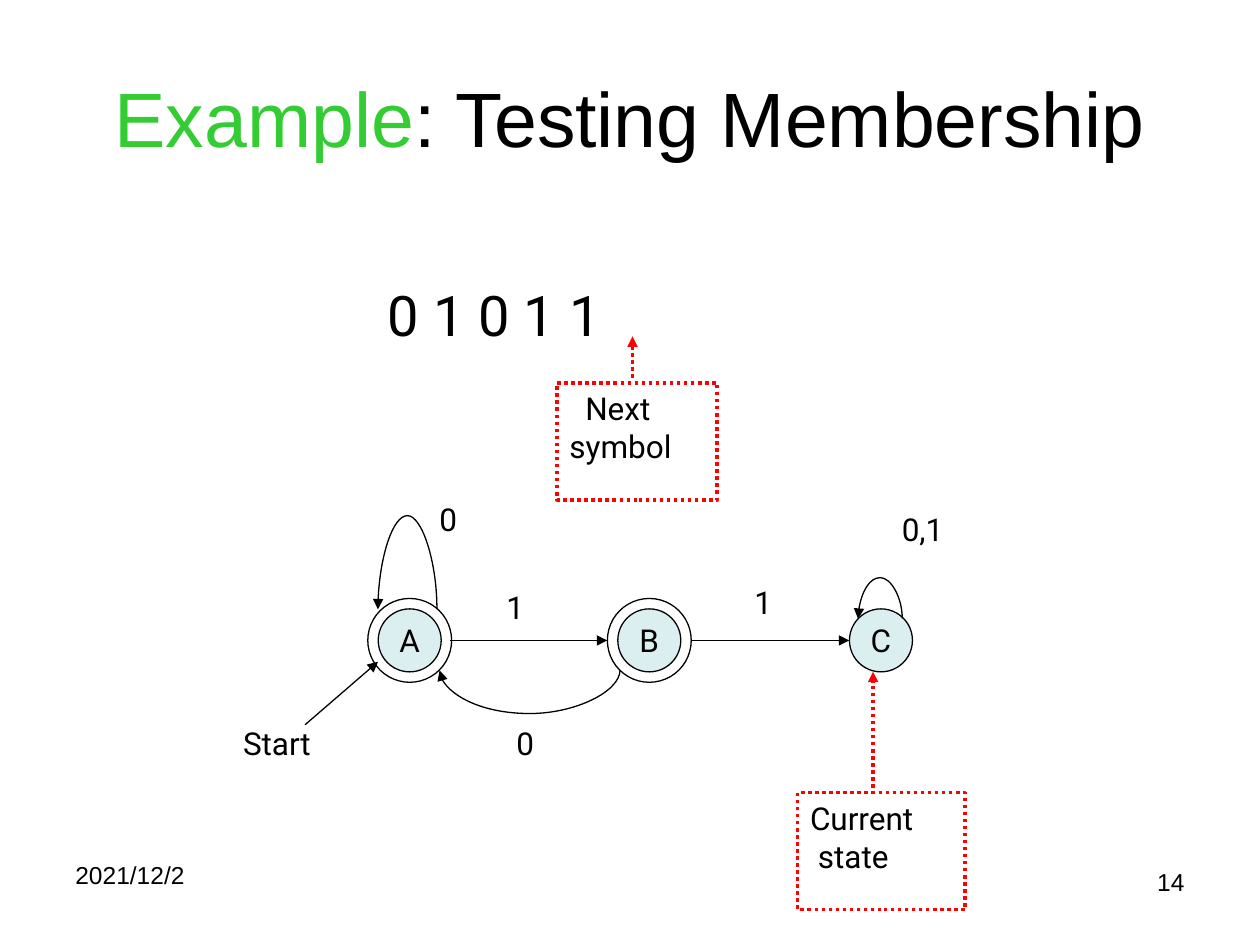
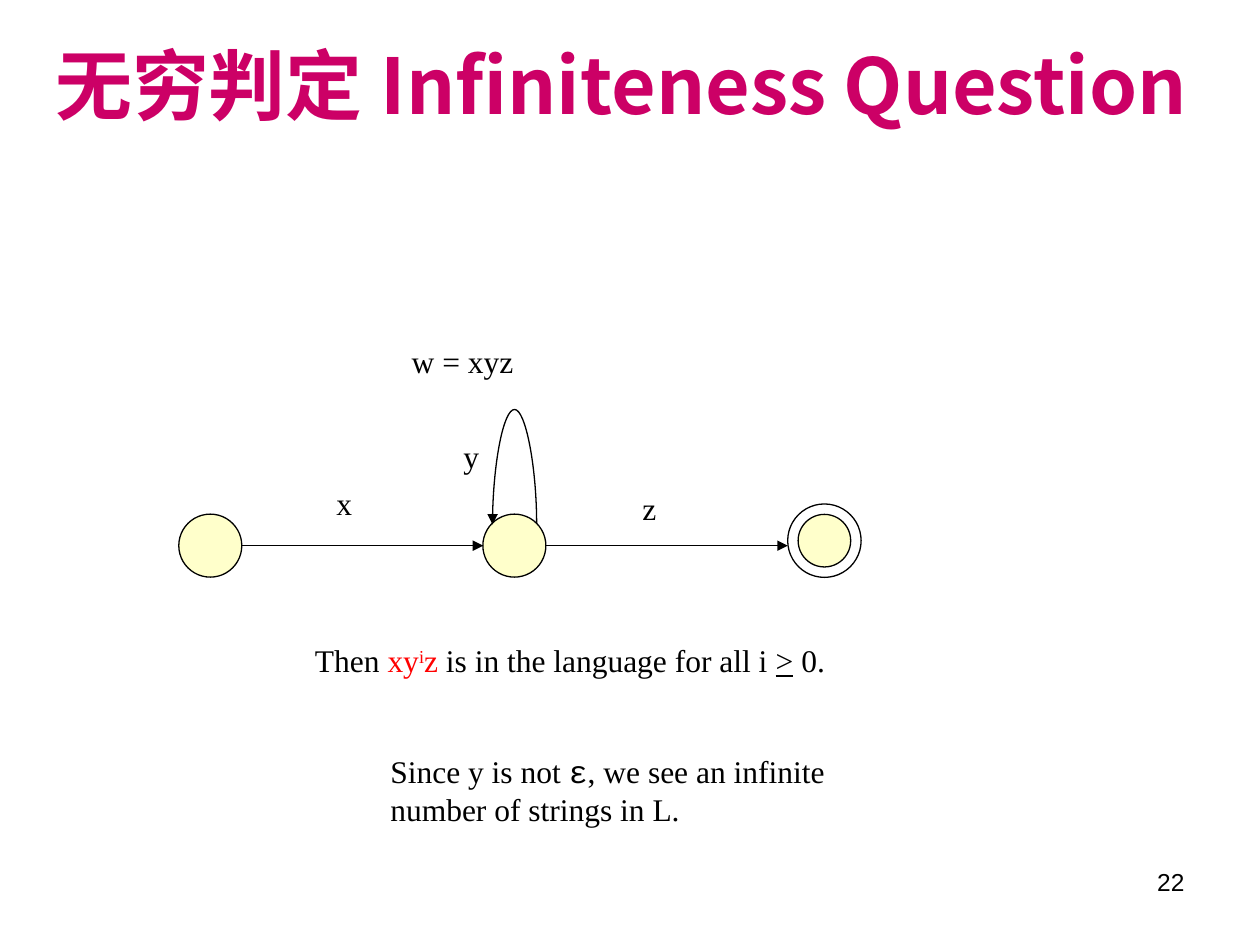
from lxml import etree
from pptx import Presentation
from pptx import util as u
from pptx.dml.color import RGBColor
from pptx.enum import dml, shapes, text
from pptx.oxml import ns

BLACK = RGBColor(0x00, 0x00, 0x00)
RED = RGBColor(0xFF, 0x00, 0x00)
GREEN = RGBColor(0x33, 0xCC, 0x33)
MAGENTA = RGBColor(0xCC, 0x00, 0x66)
PALE_BLUE = RGBColor(0xBB, 0xE0, 0xE3)
PALE_YELLOW = RGBColor(0xFF, 0xFF, 0x99)

# Font formats
TITLE = {"name": "Arial", "size": u.Pt(44), "color": BLACK}
CJK_TITLE = {"name": "Noto Sans CJK SC", "size": u.Pt(44), "bold": True, "color": MAGENTA}
FOOTER = {"name": "Arial", "size": u.Pt(14), "color": BLACK}
LABEL = {"name": "Roboto", "size": u.Pt(18), "color": BLACK}
SERIF = {"name": "Times New Roman", "size": u.Pt(18), "color": BLACK}
INPUT = LABEL | {"size": u.Pt(32)}

# Line formats: colour, width in points, dash
THIN = (BLACK, 0.75, None)
DOTTED = (RED, 2, dml.MSO_LINE.ROUND_DOT)

LEFT, CENTER, RIGHT = text.PP_ALIGN.LEFT, text.PP_ALIGN.CENTER, text.PP_ALIGN.RIGHT
TOP, MIDDLE = text.MSO_ANCHOR.TOP, text.MSO_ANCHOR.MIDDLE
SPACE = 0.16  # width of one space in an 18 pt label, cm


def write_text(shape, paragraphs, base, alignment=LEFT, anchor=TOP, wrap=False, grow=True):
    """Each paragraph is a list of (text, format changes) runs."""
    frame = shape.text_frame
    frame.word_wrap = wrap
    frame.vertical_anchor = anchor
    frame.auto_size = text.MSO_AUTO_SIZE.SHAPE_TO_FIT_TEXT if grow else text.MSO_AUTO_SIZE.NONE
    for number, runs in enumerate(paragraphs):
        paragraph = frame.add_paragraph() if number else frame.paragraphs[0]
        paragraph.alignment = alignment
        for words, changes in runs:
            run = paragraph.add_run()
            run.text = words
            for key, value in (base | changes).items():
                if key == "color":
                    run.font.color.rgb = value
                elif key == "baseline":
                    run.font._element.set("baseline", value)
                else:
                    setattr(run.font, key, value)


def style_line(shape, line_format, arrow=False):
    color, width, dash = line_format
    shape.line.color.rgb = color
    shape.line.width = u.Pt(width)
    if dash:
        shape.line.dash_style = dash
    if arrow:
        line = shape.line._get_or_add_ln()
        etree.SubElement(line, ns.qn("a:tailEnd"), type="triangle")
        etree.SubElement(shape._element.spPr, ns.qn("a:effectLst"))


presentation = Presentation()
presentation.slide_width, presentation.slide_height = u.Cm(25.4), u.Cm(19.05)
blank = presentation.slide_layouts[6]
membership = presentation.slides.add_slide(blank)
infiniteness = presentation.slides.add_slide(blank)

# States: slide, centre x, centre y, diameter, fill, name
states = [
    (membership, 8.26, 12.91, 1.27, PALE_BLUE, "A"),
    (membership, 13.09, 12.91, 1.27, PALE_BLUE, "B"),
    (membership, 17.76, 12.91, 1.27, PALE_BLUE, "C"),
    (membership, 8.26, 12.91, 1.69, None, ""),
    (membership, 13.09, 12.91, 1.69, None, ""),
    (infiniteness, 4.24, 11, 1.27, PALE_YELLOW, ""),
    (infiniteness, 10.37, 11, 1.27, PALE_YELLOW, ""),
    (infiniteness, 16.62, 10.9, 1.06, PALE_YELLOW, ""),
    (infiniteness, 16.62, 10.9, 1.48, None, ""),
]
for slide, x, y, diameter, fill, name in states:
    state = slide.shapes.add_shape(
        shapes.MSO_SHAPE.OVAL, u.Cm(x - diameter / 2), u.Cm(y - diameter / 2),
        u.Cm(diameter), u.Cm(diameter))
    state.shadow.inherit = False
    style_line(state, THIN)
    if fill is None:
        state.fill.background()
    else:
        state.fill.solid()
        state.fill.fore_color.rgb = fill
        color = state._element.spPr.find(".//" + ns.qn("a:srgbClr"))
        etree.SubElement(color, ns.qn("a:alpha"), val="50000")
    if name:
        write_text(state, [[(name, {})]], LABEL, CENTER, MIDDLE, grow=False)

# Straight arrows: slide, start x and y, end x and y, line
arrows = [
    (membership, 6.15, 14.61, 7.62, 13.34, THIN),
    (membership, 9.07, 12.91, 12.24, 12.91, THIN),
    (membership, 13.94, 12.91, 17.12, 12.91, THIN),
    (membership, 12.75, 7.62, 12.75, 6.78, DOTTED),
    (membership, 17.6, 15.88, 17.6, 13.54, DOTTED),
    (infiniteness, 4.88, 11, 9.74, 11, THIN),
    (infiniteness, 11.01, 11, 15.88, 11, THIN),
]
for slide, *ends, line_format in arrows:
    arrow = slide.shapes.add_connector(
        shapes.MSO_CONNECTOR.STRAIGHT, *(u.Cm(value) for value in ends))
    style_line(arrow, line_format, arrow=True)

# Curved arrows run right to left: slide, right x, left x, y, bulge (up is negative)
THICKNESS = 0.01
curves = [
    (membership, 8.81, 7.62, 12.28, -1.88),
    (membership, 12.5, 8.86, 13.51, 0.88),
    (membership, 18.19, 17.3, 12.47, -0.82),
    (infiniteness, 10.82, 9.93, 10.57, -2.31),
]
for slide, right, left, y, bulge in curves:
    x, half = (left + right) / 2, (right - left) / 2
    curve = slide.shapes.add_connector(
        shapes.MSO_CONNECTOR.CURVE, u.Cm(x - THICKNESS / 2), u.Cm(y - half),
        u.Cm(x + THICKNESS / 2), u.Cm(y + half))
    turn = {"rot": "5400000"} if bulge > 0 else {"rot": "16200000", "flipH": "1", "flipV": "1"}
    for key, value in turn.items():
        curve._element.spPr.xfrm.set(key, value)
    guides = curve._element.spPr.prstGeom.get_or_add_avLst()
    ratio = round(bulge / THICKNESS * 100000)
    etree.SubElement(guides, ns.qn("a:gd"), name="adj1", fmla=f"val {ratio}")
    style_line(curve, THIN, arrow=True)

# Dotted callouts: left, top, width, lines, spaces that indent each line
callouts = [
    (11.23, 7.72, 3.23, ["Next", "symbol"], [2, 0]),
    (16.08, 15.98, 3.38, ["Current", "state"], [0, 1]),
]
for left, top, width, lines, indents in callouts:
    callout = membership.shapes.add_shape(
        shapes.MSO_SHAPE.RECTANGLE, u.Cm(left), u.Cm(top), u.Cm(width), u.Cm(2.36))
    callout.shadow.inherit = False
    callout.fill.background()
    style_line(callout, DOTTED)
    write_text(callout, [[(line, {})] for line in lines], LABEL)
    for paragraph, spaces in zip(callout.text_frame.paragraphs, indents):
        if spaces:
            paragraph._p.get_or_add_pPr().set("marL", str(u.Cm(spaces * SPACE)))

# Short labels: slide, left, top, width, height, words, format
labels = [
    (membership, 4.65, 14.48, 2.29, 1.27, "Start", LABEL),
    (membership, 9.96, 11.73, 0.97, 1.27, "1", LABEL),
    (membership, 10.16, 14.48, 0.97, 1.27, "0", LABEL),
    (membership, 14.96, 11.63, 0.97, 1.27, "1", LABEL),
    (membership, 8.61, 9.96, 0.97, 1.27, "0", LABEL),
    (membership, 17.93, 10.16, 1.7, 1.27, "0,1", LABEL),
    (membership, 7.57, 5.54, 5, 1.6, "0 1 0 1 1", INPUT),
    (infiniteness, 8.05, 6.78, 3.51, 1.27, "w = xyz", SERIF),
    (infiniteness, 6.53, 9.63, 0.94, 1.27, "x", SERIF),
    (infiniteness, 9.09, 8.69, 0.94, 1.27, "y", SERIF),
    (infiniteness, 12.7, 9.73, 0.89, 1.27, "z", SERIF),
]
for slide, *place, words, label_format in labels:
    label = slide.shapes.add_textbox(*(u.Cm(value) for value in place))
    write_text(label, [[(words, {})]], label_format)

# Conclusions about the pumped string
red = {"color": RED}
conclusion = infiniteness.shapes.add_textbox(u.Cm(6.1), u.Cm(12.8), u.Cm(15.62), u.Cm(1.27))
write_text(conclusion, [[
    ("Then ", {}), ("xy", red), ("i", red | {"baseline": "30000"}), ("z", red),
    (" is in the language for all i ", {}), (">", {"underline": True}), (" 0.", {}),
]], SERIF)
reason = infiniteness.shapes.add_textbox(u.Cm(7.62), u.Cm(15.04), u.Cm(13.31), u.Cm(2.29))
write_text(reason, [
    [("Since y is not ", {}), ("ε", {"name": "Courier New"}), (", we see an infinite", {})],
    [("number of strings in L.", {})],
], SERIF)

# Titles and footers: slide, left, top, width, height, runs, format, alignment, anchor
frames = [
    (membership, 1.27, 0.76, 22.86, 3.18,
     [("Example", {"color": GREEN}), (": Testing Membership", {})], TITLE, CENTER, MIDDLE),
    (infiniteness, 0.86, 0.03, 25.88, 3.33,
     [("无穷判定 Infiniteness Question", {})], CJK_TITLE, LEFT, MIDDLE),
    (membership, 1.27, 17.22, 5.92, 1.32, [("2021/12/2", {})], FOOTER, LEFT, TOP),
    (membership, 18.21, 17.35, 5.92, 1.32, [("14", {})], FOOTER, RIGHT, TOP),
    (infiniteness, 18.21, 17.35, 5.92, 1.32, [("22", {})], FOOTER, RIGHT, TOP),
]
for slide, *place, runs, base, alignment, anchor in frames:
    box = slide.shapes.add_textbox(*(u.Cm(value) for value in place))
    write_text(box, [runs], base, alignment, anchor, wrap=True, grow=False)
    if base is CJK_TITLE:
        properties = box.text_frame.paragraphs[0].runs[0].font._element
        etree.SubElement(properties, ns.qn("a:ea"), typeface=base["name"])

presentation.save("out.pptx")
